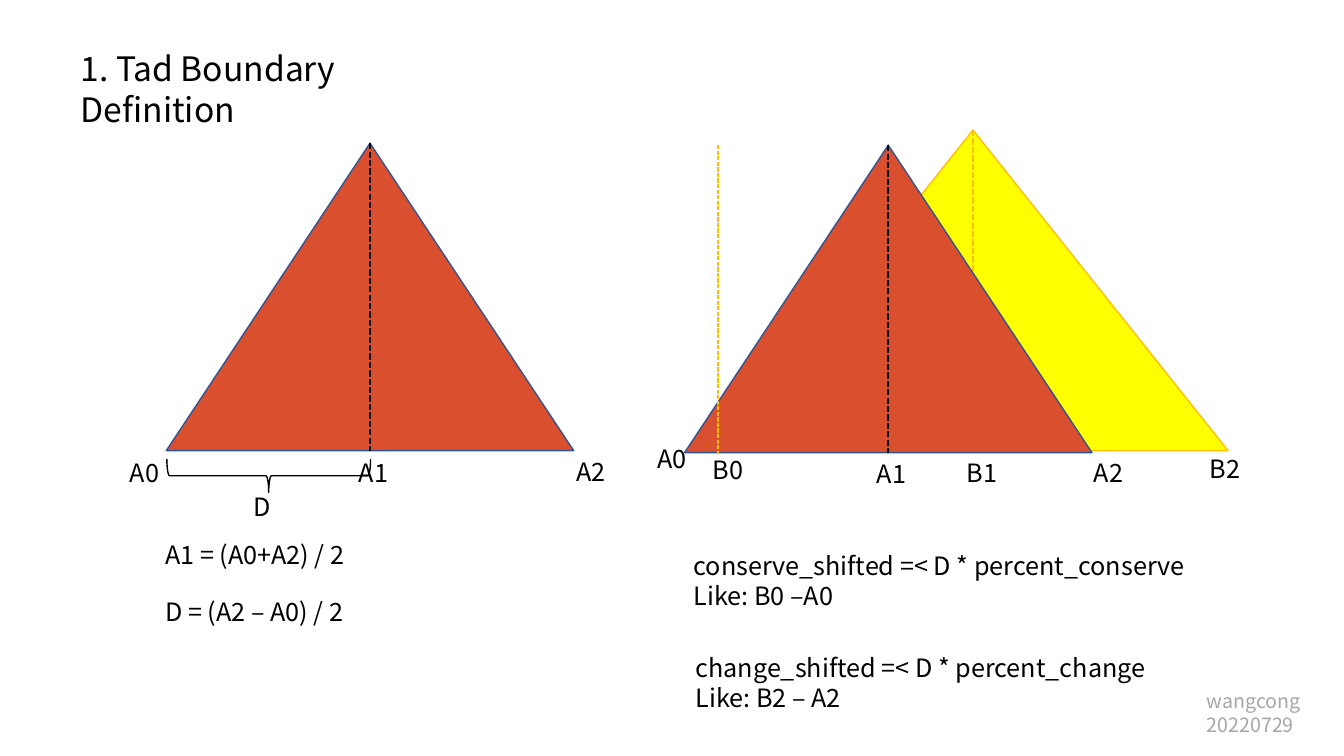
from dataclasses import dataclass

from lxml.etree import SubElement
from pptx import Presentation
from pptx.dml.color import RGBColor
from pptx.enum.dml import MSO_LINE
from pptx.enum.shapes import MSO_CONNECTOR, MSO_SHAPE
from pptx.enum.text import MSO_ANCHOR, MSO_AUTO_SIZE, PP_ALIGN
from pptx.oxml.ns import qn
from pptx.shapes.autoshape import Shape
from pptx.slide import Slide
from pptx.util import Inches, Pt

FONT = "Noto Sans CJK SC"
BLACK = RGBColor(0x00, 0x00, 0x00)
RED = RGBColor(0xDA, 0x4F, 0x2E)
BLUE = RGBColor(0x32, 0x54, 0x91)
YELLOW = RGBColor(0xFF, 0xFF, 0x00)
GOLD = RGBColor(0xFF, 0xC0, 0x00)
GREY = RGBColor(0xA6, 0xA6, 0xA6)

# The slide is a grid of square cells, ten to the inch.
COLS, ROWS = 133.3, 75
BASE = 44.8  # row of the triangles' feet
SPAN, RISE = 40.4, 30.5  # size of a red triangle


@dataclass(frozen=True)
class Tad:
    """A triangle with a dashed axis under its peak."""
    left: float
    top: float
    wide: float
    high: float
    fill: RGBColor
    edge: RGBColor
    axis: RGBColor


@dataclass(frozen=True)
class Note:
    """A block of text."""
    text: str
    left: float
    top: float
    wide: float = 7
    high: float = 4
    size: int = 18
    tint: RGBColor = BLACK


TADS = [
    Tad(16.5, 14.2, SPAN, RISE, RED, BLUE, BLACK),
    Tad(71.2, 12.9, 50.6, 31.8, YELLOW, GOLD, GOLD),
    Tad(67.9, 14.4, SPAN, RISE, RED, BLUE, BLACK),
]

TITLE = Note("1. Tad Boundary Definition", 7, 4.3, 40.4, 9, 24)

NOTES = [
    Note("A0", 11.9, 44.9),
    Note("A1", 34.6, 44.9),
    Note("A2", 56.2, BASE),
    Note("D", 24.2, 48.3),
    Note("A1 = (A0+A2) / 2", 15.4, 53, 22.3),
    Note("D = (A2 – A0) / 2", 15.4, 58.7, 22.3),
    Note("B0", 69.7, 44.6),
    Note("B1", 94.9, 44.9),
    Note("B2", 119, 44.5),
    Note("A0", 64.2, 43.5),
    Note("A1", 86, 45),
    Note("A2", 107.5, 44.9),
    Note("conserve_shifted =< D * percent_conserve\nLike: B0 –A0",
         67.8, 54.1, 57.1, 7.1),
    Note("change_shifted =< D * percent_change\nLike: B2 – A2",
         68, 64.2, 57.1, 7.1),
    Note("wangcong\n20220729", 118.7, 67.9, 14, 5.7, 14, GREY),
]


def cell(count: float) -> int:
    """Turn a count of grid cells into a length."""
    return Inches(count / 10)


def write(box: Shape, note: Note) -> None:
    """Place a text shape, then fill and format it."""
    box.left, box.top = cell(note.left), cell(note.top)
    box.width, box.height = cell(note.wide), cell(note.high)
    frame = box.text_frame
    frame.text = note.text
    frame.word_wrap = True
    frame.auto_size = MSO_AUTO_SIZE.NONE
    frame.vertical_anchor = MSO_ANCHOR.TOP
    for line in frame.paragraphs:
        line.alignment = PP_ALIGN.LEFT
        for run in line.runs:
            run.font.name = FONT
            run.font.size = Pt(note.size)
            run.font.color.rgb = note.tint


def draw_axis(slide: Slide, col: float, top: float, end: float,
              tint: RGBColor, thick: float = 1.5) -> None:
    """Draw an upright dashed line."""
    axis = slide.shapes.add_connector(
        MSO_CONNECTOR.STRAIGHT, cell(col), cell(top), cell(col), cell(end))
    axis.line.color.rgb = tint
    axis.line.width = Pt(thick)
    axis.line.dash_style = MSO_LINE.SQUARE_DOT
    SubElement(axis.element.spPr, qn("a:effectLst"))


def draw_shape(slide: Slide, kind: MSO_SHAPE, left: float, top: float,
               wide: float, high: float, edge: RGBColor) -> Shape:
    """Add an unfilled preset shape with a thin edge."""
    shape = slide.shapes.add_shape(
        kind, cell(left), cell(top), cell(wide), cell(high))
    shape.shadow.inherit = False
    shape.fill.background()
    shape.line.color.rgb = edge
    shape.line.width = Pt(1)
    return shape


def draw_tad(slide: Slide, tad: Tad) -> None:
    """Draw a triangle and its axis."""
    shape = draw_shape(slide, MSO_SHAPE.ISOSCELES_TRIANGLE, tad.left,
                       tad.top, tad.wide, tad.high, tad.edge)
    shape.fill.solid()
    shape.fill.fore_color.rgb = tad.fill
    draw_axis(slide, tad.left + tad.wide / 2, tad.top,
              tad.top + tad.high, tad.axis)


def main() -> None:
    """Build and save the slide."""
    deck = Presentation()
    deck.slide_width, deck.slide_height = cell(COLS), cell(ROWS)
    slide = deck.slides.add_slide(deck.slide_layouts[5])
    write(slide.shapes.title, TITLE)
    for tad in TADS:
        draw_tad(slide, tad)
    draw_axis(slide, TADS[1].left, TADS[2].top, TADS[2].top + RISE, GOLD, 1)
    brace = draw_shape(slide, MSO_SHAPE.LEFT_BRACE, 25, 37.1,
                       3.3, SPAN / 2, BLACK)
    brace.rotation = 270
    for note in NOTES:
        write(slide.shapes.add_textbox(0, 0, 0, 0), note)
    deck.save("out.pptx")


main()
